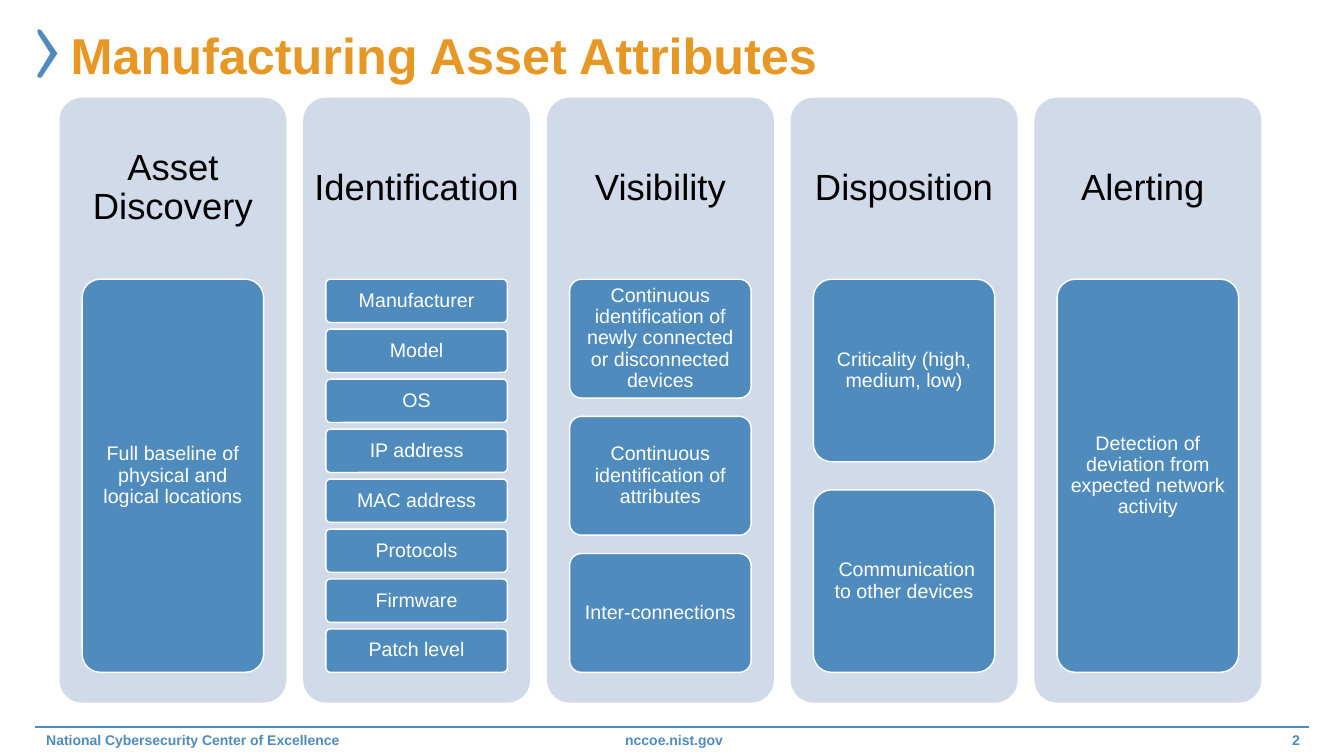
from lxml import etree
from pptx import Presentation
from pptx.dml.color import RGBColor
from pptx.enum.shapes import MSO_CONNECTOR, MSO_SHAPE
from pptx.enum.text import MSO_ANCHOR, PP_ALIGN
from pptx.oxml.ns import qn
from pptx.util import Pt

PX = 9144
FONT = "Arial"
BLUE = RGBColor(0x4F, 0x8C, 0xBD)
PALE = RGBColor(0xD0, 0xDA, 0xE8)
ORANGE = RGBColor(0xE7, 0x98, 0x24)
WHITE = RGBColor(0xFF, 0xFF, 0xFF)
BLACK = RGBColor(0, 0, 0)
ROUNDED, STRAIGHT = MSO_SHAPE.ROUNDED_RECTANGLE, MSO_CONNECTOR.STRAIGHT
LEFT, CENTER, RIGHT = PP_ALIGN.LEFT, PP_ALIGN.CENTER, PP_ALIGN.RIGHT
TOP, MIDDLE = MSO_ANCHOR.TOP, MSO_ANCHOR.MIDDLE

COLUMNS = [
    ("Asset Discovery", ["Full baseline of physical and logical locations"]),
    ("Identification", ["Manufacturer", "Model", "OS", "IP address", "MAC address",
                        "Protocols", "Firmware", "Patch level"]),
    ("Visibility", ["Continuous identification of newly connected or disconnected devices",
                    "Continuous identification of attributes", "Inter-connections"]),
    ("Disposition", ["Criticality (high, medium, low)", " Communication to other devices"]),
    ("Alerting ", ["Detection of deviation from expected network activity"]),
]
CHEVRON = [(20, 25), (4, 49), (1, 49), (0, 47), (1, 45), (13, 25),
           (1, 6), (0, 3), (1, 1), (4, 2)]


def emu(*lengths):
    """Turn px lengths into EMU."""
    return [round(n * PX) for n in lengths]


def write(shape, text, size, color, align=CENTER, anchor=MIDDLE, inset=(0, 0),
          bold=False, spacing=1.0):
    """Put one formatted paragraph in a shape."""
    tf = shape.text_frame
    tf.word_wrap = True
    tf.vertical_anchor = anchor
    tf.margin_left, tf.margin_top = emu(*inset)
    tf.margin_right, tf.margin_bottom = emu(*inset)
    p = tf.paragraphs[0]
    p.text = text
    p.alignment = align
    p.line_spacing = spacing
    font = p.runs[0].font
    font.name, font.size, font.bold = FONT, Pt(size), bold
    font.color.rgb = color


def add_panel(s, box, fill, line=None):
    """Add a rounded rectangle with an optional outline."""
    sp = s.shapes.add_shape(ROUNDED, *emu(*box))
    sp.shadow.inherit = False
    sp.adjustments[0] = 0.1
    sp.fill.solid()
    sp.fill.fore_color.rgb = fill
    if line is None:
        sp.line.fill.background()
    else:
        sp.line.color.rgb = line
        sp.line.width = Pt(1)
    return sp


def add_title(s, box):
    """Place the title and the chevron to its left."""
    x, y, w, h = box
    title = s.shapes.title
    title.left, title.top, title.width, title.height = emu(*box)
    write(title, "Manufacturing Asset Attributes", 36, ORANGE, LEFT, bold=True)
    points = [(x - 33 + dx, y + 5 + dy) for dx, dy in CHEVRON]
    builder = s.shapes.build_freeform(*points[0], scale=PX)
    builder.add_line_segments(points[1:], close=True)
    chevron = builder.convert_to_shape()
    chevron.shadow.inherit = False
    chevron.fill.solid()
    chevron.fill.fore_color.rgb = BLUE
    chevron.line.fill.background()


def add_column(s, box, heading, items):
    """Draw one category panel with its heading and evenly stacked items."""
    x, y, w, h = box
    add_panel(s, box, PALE)
    tb = s.shapes.add_textbox(*emu(x, y, w, h * 0.3))
    write(tb, heading, 26, BLACK, inset=(10, 11), spacing=0.9)
    stack_h = h * 0.65
    item_h = stack_h / (len(items) + (len(items) - 1) / 6.5)
    pitch = item_h * 7.5 / 6.5
    for i, item in enumerate(items):
        item_box = (x + w * 0.1, y + h * 0.3 + i * pitch, w * 0.8, item_h)
        sp = add_panel(s, item_box, BLUE, WHITE)
        write(sp, item, 14, WHITE, inset=(4, 3), spacing=0.9)


def add_columns(s, box, column_w):
    """Spread the category columns evenly over the box."""
    x, y, w, h = box
    pitch = (w - column_w) / (len(COLUMNS) - 1)
    for i, (heading, items) in enumerate(COLUMNS):
        add_column(s, (x + i * pitch, y, column_w, h), heading, items)


def add_footer(s, box):
    """Draw the footer rule and its three texts."""
    x, y, w, h = box
    rule = s.shapes.add_connector(STRAIGHT, *emu(x, y, x + w, y))
    rule.line.color.rgb = BLUE
    rule.line.width = Pt(1.5)
    etree.SubElement(rule._element.spPr, qn("a:effectLst"))
    for dx, width, text, align in (
        (1, 491, "National Cybersecurity Center of Excellence", LEFT),
        (388, 491, "nccoe.nist.gov", CENTER),
        (953, 311, "2", RIGHT),
    ):
        tb = s.shapes.add_textbox(*emu(x + dx, y, width, h))
        write(tb, text, 10, BLUE, align, TOP, (10, 5), bold=True)


def main():
    """Build and save the slide."""
    prs = Presentation()
    prs.slide_width, prs.slide_height = emu(1333, 750)
    s = prs.slides.add_slide(prs.slide_layouts[5])
    add_title(s, (70, 23, 1228, 61))
    add_columns(s, (59, 97, 1192, 600), 225)
    add_footer(s, (35, 721, 1263, 27))
    prs.save("out.pptx")


if __name__ == "__main__":
    main()
